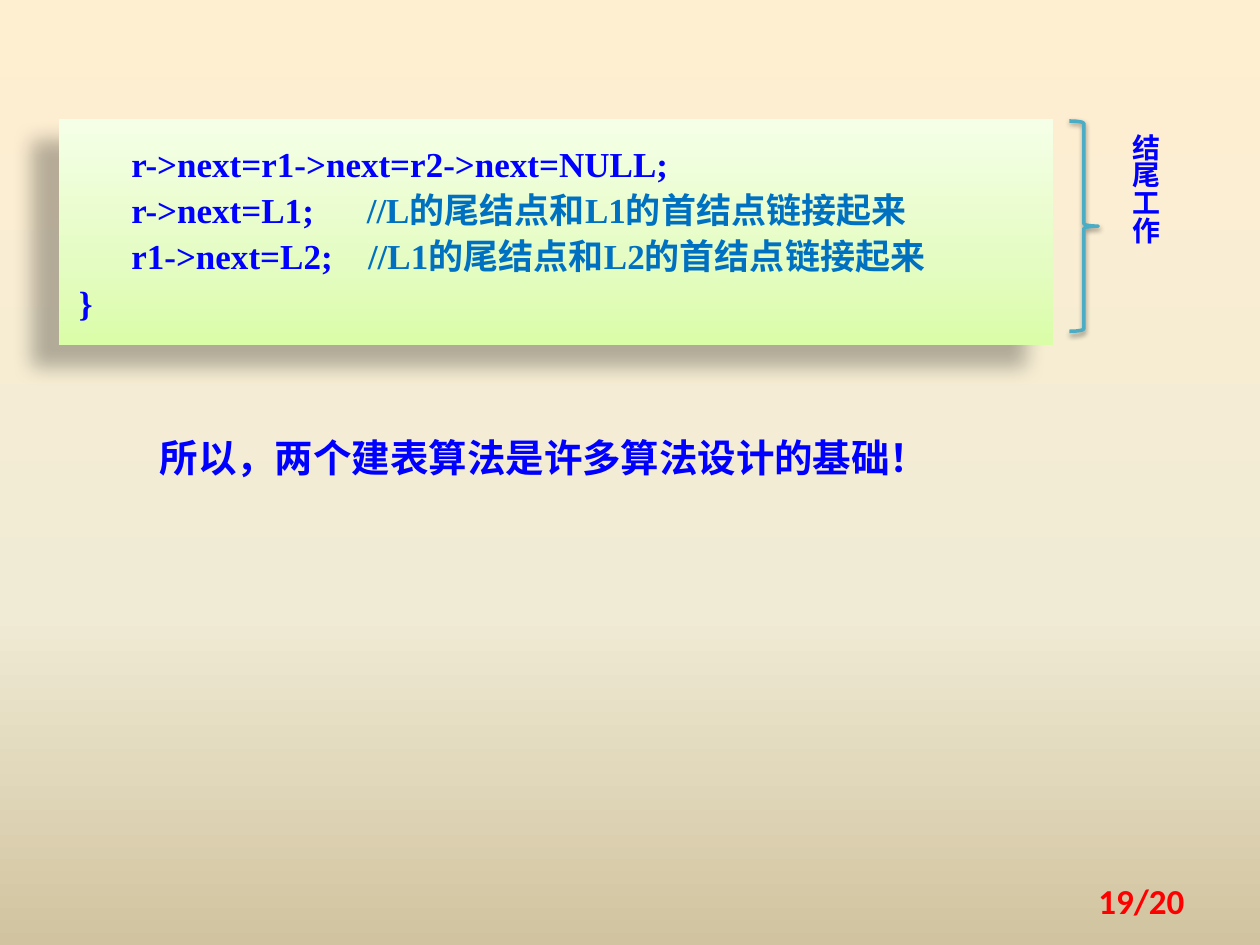
"""Build the closing slide on linking the ends of the split lists."""
import pptx
import pptx.dml.color
import pptx.enum.shapes
import pptx.enum.text
import pptx.oxml
import pptx.oxml.ns
import pptx.util
from pptx.util import Cm

COLORS = {"code": "0000FF", "comment": "0070C0", "brace": "4BACC6", "page": "FF0000", "shadow": "000000"}
CJK = "Noto Sans CJK SC"
BACKDROP = [(0, "FFEFD1"), (65, "F0EBD5"), (100, "D1C39F")]
CODE_FILL = [(0, "DAFDA7"), (35, "E4FCC2"), (100, "F5FFE7")]
CODE = [
    [("      r->next=r1->next=r2->next=NULL;", "code")],
    [("      r->next=L1;      ", "code"), ("//L的尾结点和L1的首结点链接起来", "comment")],
    [("      r1->next=L2;", "code"), ("    //L1的尾结点和L2的首结点链接起来", "comment")],
    [("}", "code")],
]
STEP = [[("结尾工作", "code")]]
CONCLUSION = [[("所以，两个建表算法是许多算法设计的基础！", "code")]]
PAGE = [[("19/20", "page")]]

ALIGN = pptx.enum.text.PP_ALIGN
GROW = {"word_wrap": True, "auto_size": pptx.enum.text.MSO_AUTO_SIZE.SHAPE_TO_FIT_TEXT}
CODE_FRAME = {**GROW, "vertical_anchor": pptx.enum.text.MSO_ANCHOR.TOP, "margin_left": Cm(0.4),
              "margin_top": Cm(0.4), "margin_right": Cm(0.25), "margin_bottom": Cm(0.4)}
PAGE_FRAME = {"word_wrap": True, "vertical_anchor": pptx.enum.text.MSO_ANCHOR.MIDDLE}


def apply(target, formats):
    for key, value in formats.items():
        setattr(target, key, value)


def element(xml):
    return pptx.oxml.parse_xml(f"<a:wrap {pptx.oxml.ns.nsdecls('a')}>{xml}</a:wrap>")[0]


def set_gradient(fill, stops, angle):
    fill.gradient()
    fill.gradient_angle = angle
    stop_list = fill._fill._gradFill.find(pptx.oxml.ns.qn("a:gsLst"))
    stop_list[:] = [
        element(f'<a:gs pos="{pos * 1000}"><a:srgbClr val="{color}"/></a:gs>') for pos, color in stops
    ]


def add_shadow(shape, opacity, blur, distance, angle):
    shape._element.spPr.append(element(
        f'<a:effectLst><a:outerShdw blurRad="{pptx.util.Pt(blur)}" dist="{pptx.util.Pt(distance)}" '
        f'dir="{angle * 60000}" algn="ctr" rotWithShape="0"><a:srgbClr val="{COLORS["shadow"]}">'
        f'<a:alpha val="{opacity * 1000}"/></a:srgbClr></a:outerShdw></a:effectLst>'))


def write(shape, lines, frame_format, size, latin, align=ALIGN.LEFT, spacing=1.1):
    frame = shape.text_frame
    apply(frame, frame_format)
    for index, parts in enumerate(lines):
        paragraph = frame.add_paragraph() if index else frame.paragraphs[0]
        apply(paragraph, {"alignment": align, "line_spacing": spacing})
        for words, color in parts:
            run = paragraph.add_run()
            run.text = words
            apply(run.font, {"size": pptx.util.Pt(size), "bold": True, "name": latin})
            run.font.color.rgb = pptx.dml.color.RGBColor.from_string(COLORS[color])
            run.font._element.find(pptx.oxml.ns.qn("a:latin")).addnext(
                element(f'<a:ea typeface="{CJK}"/>'))


def main():
    deck = pptx.Presentation()
    apply(deck, {"slide_width": Cm(25.4), "slide_height": Cm(19.05)})
    slide = deck.slides.add_slide(deck.slide_layouts[6])
    set_gradient(slide.background.fill, BACKDROP, 270)
    shapes, preset = slide.shapes, pptx.enum.shapes.MSO_SHAPE

    code_box = shapes.add_shape(preset.RECTANGLE, Cm(1.19), Cm(2.39), Cm(20.04), Cm(4.57))
    set_gradient(code_box.fill, CODE_FILL, 90)
    code_box.line.fill.background()
    add_shadow(code_box, 28, 11.8, 19.7, 141)
    write(code_box, CODE, CODE_FRAME, 20, "Times New Roman")

    step_top, step_height = Cm(2.44), Cm(4.24)
    brace = shapes.add_shape(preset.RIGHT_BRACE, Cm(21.56), step_top, Cm(0.58), step_height)
    brace.fill.background()
    brace.line.color.rgb = pptx.dml.color.RGBColor.from_string(COLORS["brace"])
    brace.line.width = pptx.util.Pt(2)
    add_shadow(brace, 38, 3.1, 1.6, 90)

    step_label = shapes.add_textbox(Cm(22.35), step_top, Cm(1.27), step_height)
    step_label.text_frame._txBody.bodyPr.set("vert", "eaVert")
    write(step_label, STEP, GROW, 16, CJK, ALIGN.CENTER)

    conclusion = shapes.add_textbox(Cm(2.97), Cm(8.53), Cm(15.29), Cm(1.22))
    write(conclusion, CONCLUSION, GROW, 22, CJK)

    page_number = shapes.add_textbox(Cm(18.21), Cm(17.65), Cm(5.92), Cm(1.02))
    write(page_number, PAGE, PAGE_FRAME, 20, "Calibri", ALIGN.RIGHT, 1.0)

    deck.save("out.pptx")


if __name__ == "__main__":
    main()
